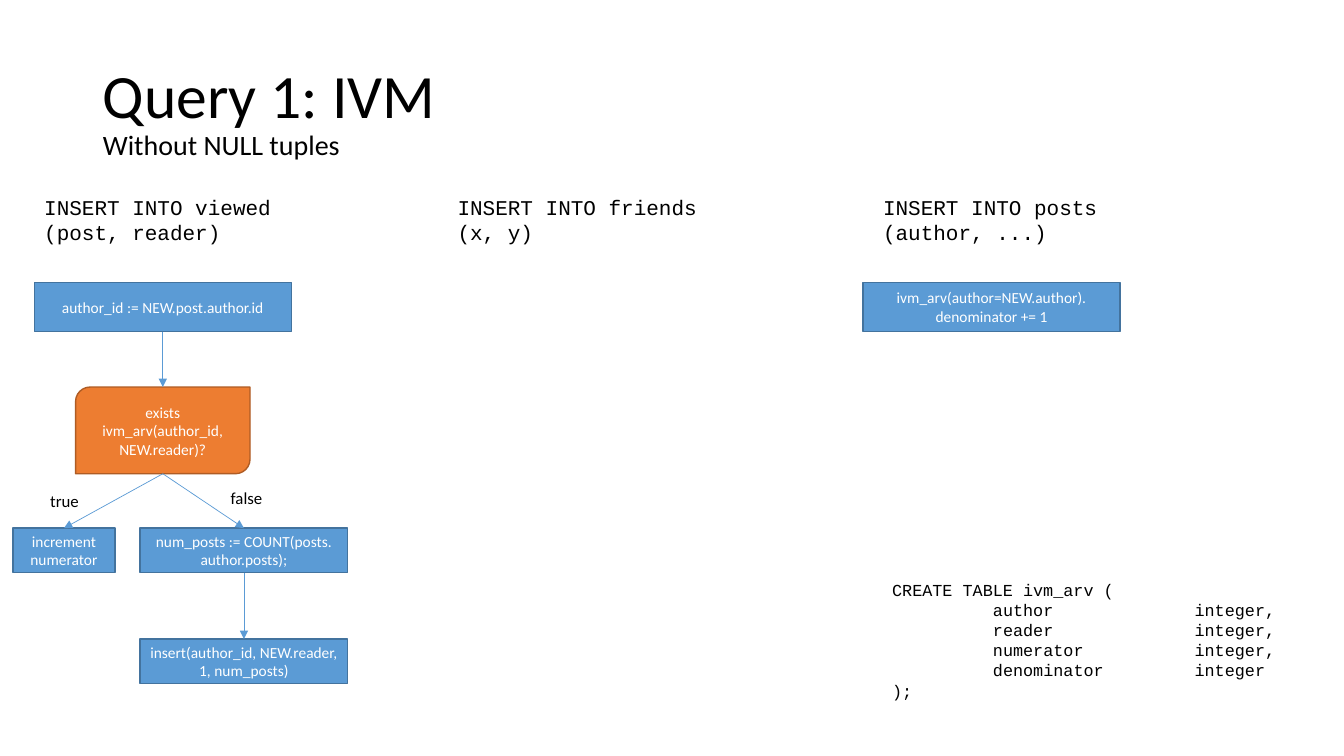
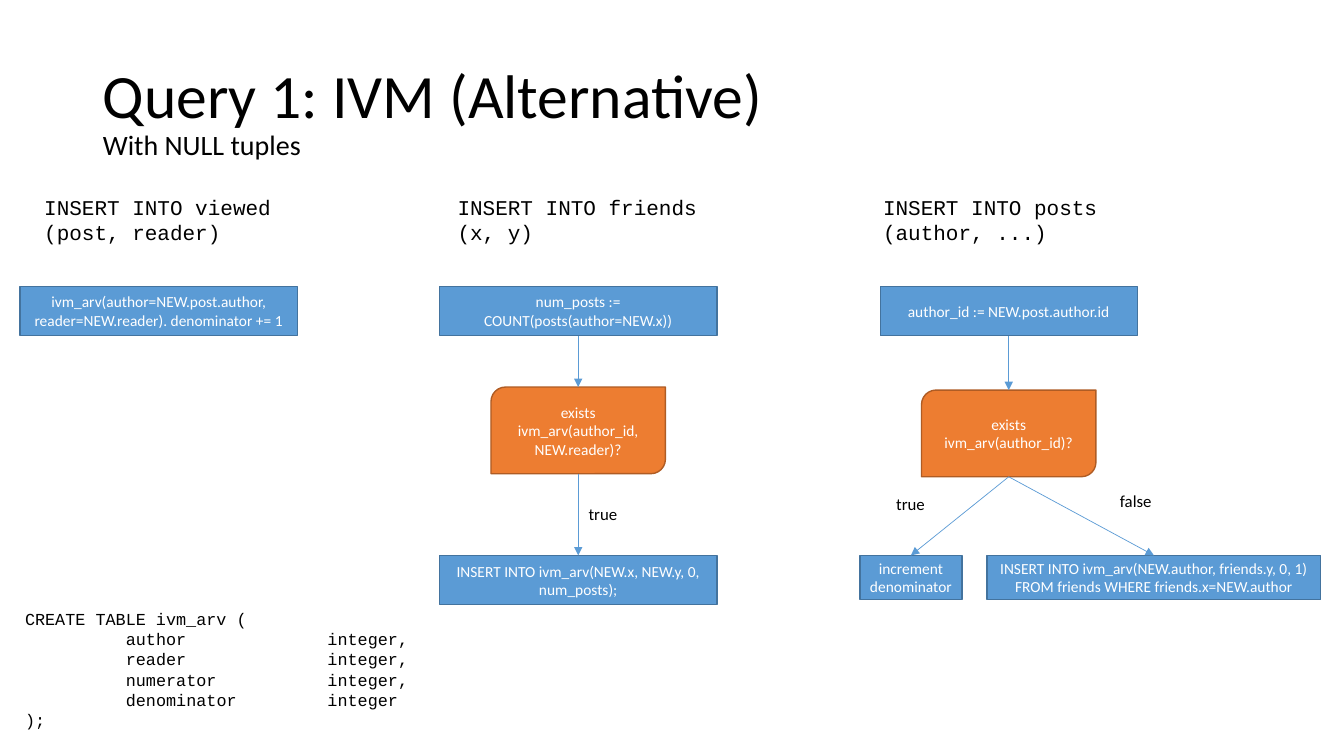
"""Build two slides on incremental view maintenance for Query 1."""
import dataclasses

import lxml.etree
import pptx
import pptx.dml.color
import pptx.enum.shapes
import pptx.enum.text
import pptx.oxml.ns
import pptx.util

PX = 9144
KIND = pptx.enum.shapes.MSO_SHAPE
ALIGN = pptx.enum.text.PP_ALIGN
SIZING = pptx.enum.text.MSO_AUTO_SIZE
MIDDLE = pptx.enum.text.MSO_ANCHOR.MIDDLE
qn = pptx.oxml.ns.qn


@dataclasses.dataclass(frozen=True)
class Theme:
    """Colours, fonts and type sizes of the deck."""
    ink: str = "000000"
    paper: str = "FFFFFF"
    blue: str = "5B9BD5"
    navy: str = "43739E"
    orange: str = "ED7D31"
    rust: str = "AF5C24"
    sans: str = "Calibri"
    mono: str = "Courier New"
    title: int = 44
    sub: int = 20
    head: int = 15
    code: int = 12
    label: int = 12
    node: int = 11


THEME = Theme()
TOP = {KIND.RECTANGLE: 0, KIND.ROUND_2_DIAG_RECTANGLE: 3}
BASE = {KIND.RECTANGLE: 2, KIND.ROUND_2_DIAG_RECTANGLE: 1}
SCHEMA = """CREATE TABLE ivm_arv (
\tauthor\t\tinteger,
\treader\t\tinteger,
\tnumerator\t\tinteger,
\tdenominator\tinteger
);"""
HEADS = (
    ("INSERT INTO viewed\n(post, reader)", 34, 247),
    ("INSERT INTO friends\n(x, y)", 444, 260),
    ("INSERT INTO posts\n(author, ...)", 866, 235),
)


def px(*sizes):
    """Turn pixel lengths into EMU."""
    return [pptx.util.Emu(size * PX) for size in sizes]


def rgb(code):
    """Return the colour for a hex code."""
    return pptx.dml.color.RGBColor.from_string(code)


def style(run, size, color, font):
    """Set the type of one run."""
    run.font.size = pptx.util.Pt(size)
    run.font.name = font
    run.font.color.rgb = rgb(color)


def fill_text(frame, text, size, color, font, align):
    """Write text into a frame and format all of it."""
    frame.text = text
    for para in frame.paragraphs:
        para.alignment = align
        for run in para.runs:
            style(run, size, color, font)


def note(slide, text, rect, size, font):
    """Add a text box that does not wrap."""
    box = slide.shapes.add_textbox(*px(*rect))
    frame = box.text_frame
    fill_text(frame, text, size, THEME.ink, font, ALIGN.LEFT)
    frame.word_wrap = False
    frame.auto_size = SIZING.SHAPE_TO_FIT_TEXT
    return box


def schema(slide, left, top):
    """Add the table definition with one-inch tab stops."""
    box = note(slide, SCHEMA, (left, top, 404, 151), THEME.code, THEME.mono)
    for para in box.element.iter(qn("a:p")):
        stops = lxml.etree.SubElement(para.get_or_add_pPr(), qn("a:tabLst"))
        for stop in px(100, 200, 300):
            lxml.etree.SubElement(stops, qn("a:tab"), pos=str(stop), algn="l")


def label(slide, text, left, top):
    """Add a branch label."""
    note(slide, text, (left, top, 56, 30), THEME.label, THEME.sans)


def node(slide, kind, text, rect, fill, edge):
    """Add a filled shape with centred text."""
    shape = slide.shapes.add_shape(kind, *px(*rect))
    shape.shadow.inherit = False
    shape.fill.solid()
    shape.fill.fore_color.rgb = rgb(fill)
    shape.line.color.rgb = rgb(edge)
    shape.line.width = pptx.util.Pt(1)
    frame = shape.text_frame
    frame.word_wrap = True
    frame.vertical_anchor = MIDDLE
    fill_text(frame, text, THEME.node, THEME.paper, THEME.sans, ALIGN.CENTER)
    return shape


def step(slide, text, left, top, width, height=49):
    """Add a blue action box."""
    rect = (left, top, width, height)
    return node(slide, KIND.RECTANGLE, text, rect, THEME.blue, THEME.navy)


def test(slide, text, left, top):
    """Add an orange decision box."""
    rect = (left, top, 173, 86)
    kind = KIND.ROUND_2_DIAG_RECTANGLE
    return node(slide, kind, text, rect, THEME.orange, THEME.rust)


def arrow(slide, start, end):
    """Join the base of one shape to the top of another."""
    link = slide.shapes.add_connector(
        pptx.enum.shapes.MSO_CONNECTOR.STRAIGHT, 0, 0, 0, 0)
    link.begin_connect(start, BASE[start.auto_shape_type])
    link.end_connect(end, TOP[end.auto_shape_type])
    link.begin_x = start.left + start.width // 2
    link.begin_y = start.top + start.height
    link.end_x = end.left + end.width // 2
    link.end_y = end.top
    link.line.color.rgb = rgb(THEME.blue)
    link.line.width = pptx.util.Pt(0.5)
    props = link.element.spPr
    lxml.etree.SubElement(props.find(qn("a:ln")), qn("a:tailEnd"), type="triangle")
    lxml.etree.SubElement(props, qn("a:effectLst"))


def page(deck, name, sub):
    """Add a slide with its title and three column heads."""
    slide = deck.slides.add_slide(deck.slide_layouts.get_by_name("Title Only"))
    title = slide.shapes.title
    title.left, title.top, title.width, title.height = px(92, 40, 1150, 145)
    frame = title.text_frame
    fill_text(frame, f"{name}\v{sub}", THEME.title, THEME.ink, THEME.sans, ALIGN.LEFT)
    frame.auto_size = SIZING.NONE
    frame.vertical_anchor = MIDDLE
    para = frame.paragraphs[0]
    para.line_spacing = 0.9
    para.runs[1].font.size = pptx.util.Pt(THEME.sub)
    for text, left, width in HEADS:
        note(slide, text, (left, 188, width, 61), THEME.head, THEME.mono)
    return slide


def plain(deck):
    """Build the slide without NULL tuples."""
    slide = page(deck, "Query 1: IVM", "Without NULL tuples")
    schema(slide, 875, 570)
    first = step(slide, "author_id := NEW.post.author.id", 34, 280, 255)
    check = test(slide, "exists ivm_arv(author_id, NEW.reader)?", 75, 384)
    more = step(slide, "increment numerator", 13, 524, 101, 44)
    count = step(slide, "num_posts := COUNT(posts. author.posts);", 139, 524, 206, 44)
    last = step(slide, "insert(author_id, NEW.reader, 1, num_posts)", 139, 634, 206, 44)
    step(slide, "ivm_arv(author=NEW.author). denominator += 1", 856, 280, 255)
    for start, end in ((first, check), (check, more), (check, count), (count, last)):
        arrow(slide, start, end)
    label(slide, "false", 219, 479)
    label(slide, "true", 40, 482)


def other(deck):
    """Build the slide with NULL tuples."""
    slide = page(deck, "Query 1: IVM (Alternative)", "With NULL tuples")
    schema(slide, 15, 599)
    step(slide, "ivm_arv(author=NEW.post.author, reader=NEW.reader). denominator += 1",
         20, 284, 275)
    count = step(slide, "num_posts := COUNT(posts(author=NEW.x))", 436, 284, 275)
    pair = test(slide, "exists ivm_arv(author_id, NEW.reader)?", 487, 384)
    last = step(slide, "INSERT INTO ivm_arv(NEW.x, NEW.y, 0, num_posts);", 436, 551, 275)
    first = step(slide, "author_id := NEW.post.author.id", 873, 284, 255)
    check = test(slide, "exists ivm_arv(author_id)?", 914, 387)
    more = step(slide, "increment denominator", 853, 551, 101, 44)
    fresh = step(slide, "INSERT INTO ivm_arv(NEW.author, friends.y, 0, 1) "
                 "FROM friends WHERE friends.x=NEW.author", 979, 551, 331, 44)
    for start, end in ((count, pair), (pair, last), (first, check),
                       (check, more), (check, fresh)):
        arrow(slide, start, end)
    label(slide, "true", 574, 495)
    label(slide, "false", 1101, 482)
    label(slide, "true", 879, 485)


def main():
    """Build and save the deck."""
    deck = pptx.Presentation()
    deck.slide_width, deck.slide_height = px(1333, 750)
    plain(deck)
    other(deck)
    deck.save("out.pptx")


if __name__ == "__main__":
    main()
